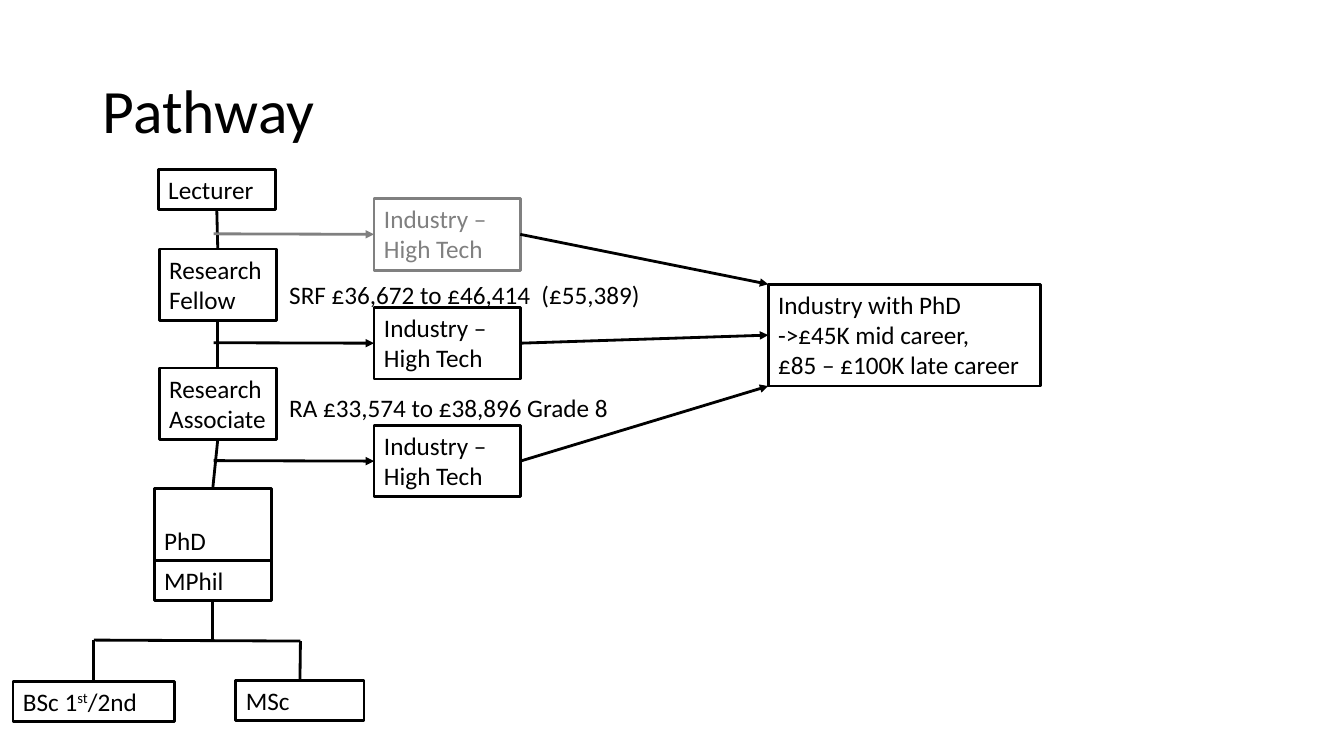
"""Build the career pathway slide."""
from dataclasses import dataclass

from lxml import etree
from pptx import Presentation
from pptx import util as u
from pptx.dml import color
from pptx.enum import shapes, text
from pptx.oxml import ns

TOP, LEFT, BASE, RIGHT = range(4)


@dataclass(frozen=True)
class Theme:
    """Hold the colours, font and sizes of the slide."""
    ink: str = "000000"
    grey: str = "808080"
    font: str = "Calibri"
    title: int = 44
    body: int = 18
    line: int = 2


THEME = Theme()


def write(shape, words, size=THEME.body, ink=THEME.ink, anchor="TOP", space=1.0):
    """Fill a shape with lines of text, raising what stands between carets."""
    frame = shape.text_frame
    frame.word_wrap = True
    frame.vertical_anchor = text.MSO_ANCHOR[anchor]
    for row, line in enumerate(words.split("\n")):
        para = frame.add_paragraph() if row else frame.paragraphs[0]
        para.alignment = text.PP_ALIGN.LEFT
        para.line_spacing = space
        for part, piece in enumerate(line.split("^")):
            run = para.add_run()
            run.text = piece
            run.font.name = THEME.font
            run.font.size = u.Pt(size)
            run.font.color.rgb = color.RGBColor.from_string(ink)
            if part % 2:
                run._r.get_or_add_rPr().set("baseline", "30000")


def label(slide, words, area, **style):
    """Add a plain text box."""
    write(slide.shapes.add_textbox(*map(u.Inches, area)), words, **style)


def stroke(line, ink):
    """Set the colour and width of a line."""
    line.color.rgb = color.RGBColor.from_string(ink)
    line.width = u.Pt(THEME.line)


def box(slide, words, area, ink=THEME.ink, **style):
    """Add an outlined box with text."""
    shape = slide.shapes.add_shape(shapes.MSO_SHAPE.RECTANGLE, *map(u.Inches, area))
    shape.shadow.inherit = False
    shape.fill.background()
    stroke(shape.line, ink)
    write(shape, words, ink=ink, **style)
    return shape


def link(slide, start, end, ink=THEME.ink, arrow=False):
    """Draw a line between points or (box, side) pairs."""
    ends = (start, end)
    spots = [(0, 0) if hasattr(spot[0], "shape_id") else spot for spot in ends]
    wire = slide.shapes.add_connector(
        shapes.MSO_CONNECTOR.STRAIGHT, *(u.Inches(n) for spot in spots for n in spot))
    for spot, join in zip(ends, (wire.begin_connect, wire.end_connect)):
        if hasattr(spot[0], "shape_id"):
            join(*spot)
    stroke(wire.line, ink)
    if arrow:
        tail = etree.SubElement(wire.line._get_or_add_ln(), ns.qn("a:tailEnd"))
        tail.set("type", "triangle")
    etree.SubElement(wire._element.spPr, ns.qn("a:effectLst"))


def degrees(slide):
    """Draw the degrees that lead to a PhD and return the PhD box."""
    msc = box(slide, "MSc", (2.34, 6.75, 1.27, 0.4))
    bsc = box(slide, "BSc 1^st^/2nd", (0.13, 6.76, 1.6, 0.4))
    mphil = box(slide, "MPhil", (1.53, 5.56, 1.16, 0.4))
    phd = box(slide, "PhD", (1.53, 4.85, 1.16, 0.71), anchor="BOTTOM")
    link(slide, (0.93, 6.35), (2.98, 6.36))
    link(slide, (0.93, 6.35), (bsc, TOP))
    link(slide, (2.98, 6.36), (msc, TOP))
    link(slide, (mphil, BASE), (2.11, 6.35))
    return phd


def ladder(slide, phd):
    """Draw the academic posts above the PhD."""
    posts = [
        phd,
        box(slide, "Research Associate", (1.58, 3.65, 1.16, 0.71)),
        box(slide, "Research Fellow", (1.58, 2.47, 1.16, 0.71)),
        box(slide, "Lecturer", (1.57, 1.68, 1.16, 0.4)),
    ]
    for lower, upper in zip(posts, posts[1:]):
        link(slide, (upper, BASE), (lower, TOP))


def industry(slide):
    """Draw the moves from each post into industry."""
    goal = box(slide, "Industry with PhD ->£45K mid career,\n£85 – £100K late career",
               (7.62, 2.82, 2.7, 1.01))
    moves = [
        (1.97, THEME.grey, (7.62, 2.82)),
        (3.05, THEME.ink, (goal, LEFT)),
        (4.22, THEME.ink, (7.62, 3.83)),
    ]
    for top, ink, end in moves:
        job = box(slide, "Industry – High Tech", (3.71, top, 1.45, 0.71), ink=ink)
        link(slide, (2.12, top + 0.35), (job, LEFT), ink=ink, arrow=True)
        link(slide, (job, RIGHT), end, arrow=True)


def main():
    """Build and save the slide."""
    deck = Presentation()
    deck.slide_width, deck.slide_height = u.Inches(13.33), u.Inches(7.5)
    slide = deck.slides.add_slide(deck.slide_layouts[6])
    label(slide, "Pathway", (0.92, 0.4, 11.5, 1.45),
          size=THEME.title, anchor="MIDDLE", space=0.9)
    ladder(slide, degrees(slide))
    industry(slide)
    label(slide, "RA £33,574 to £38,896 Grade 8", (2.77, 3.84, 4.46, 0.4))
    label(slide, "SRF £36,672 to £46,414  (£55,389)", (2.77, 2.72, 4.59, 0.4))
    deck.save("out.pptx")


if __name__ == "__main__":
    main()
